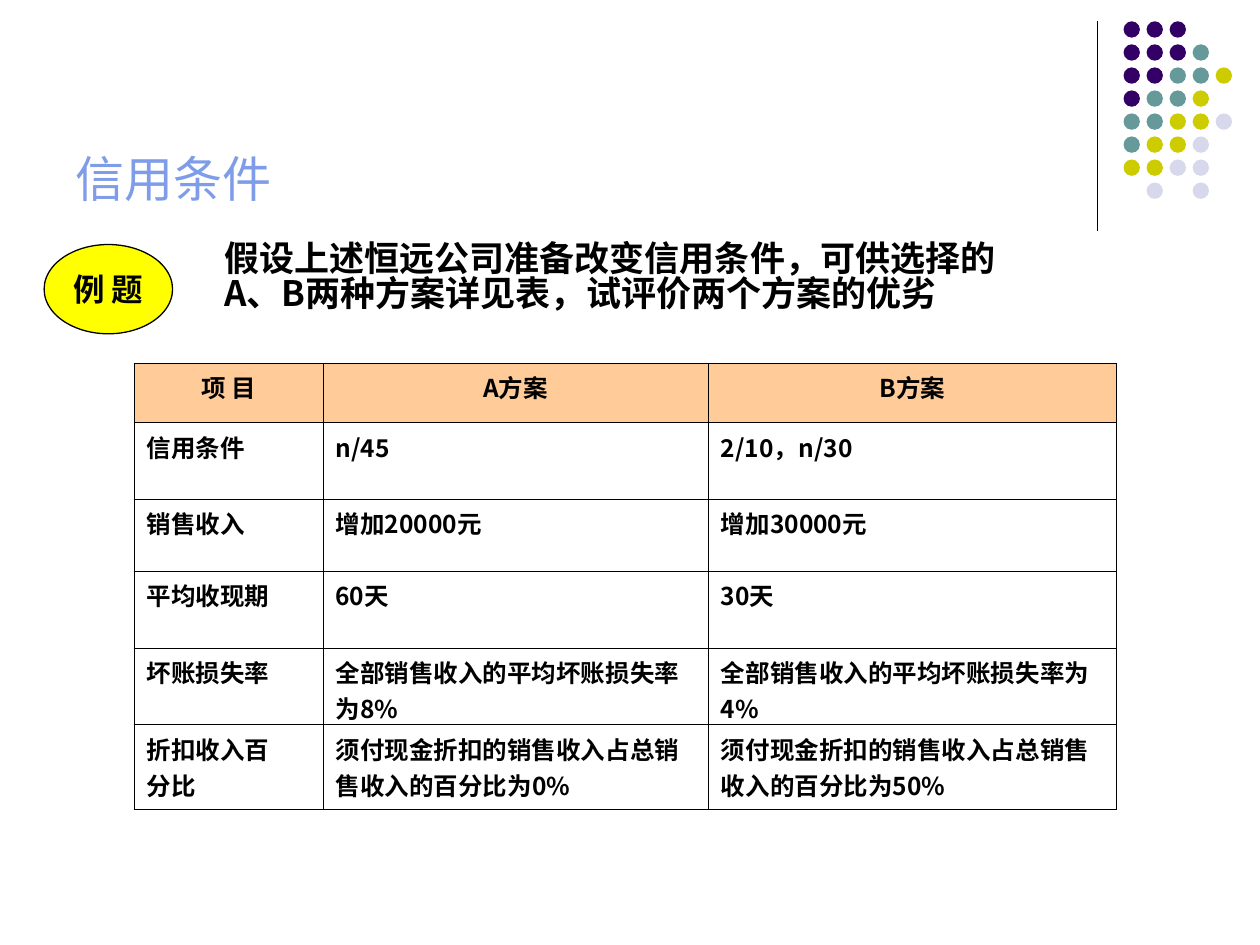
import dataclasses

import lxml.etree
import pptx
import pptx.dml.color
import pptx.enum.shapes
import pptx.enum.text
import pptx.oxml.ns
import pptx.util

Cm = pptx.util.Cm
Pt = pptx.util.Pt
Align = pptx.enum.text.PP_ALIGN
Anchor = pptx.enum.text.MSO_ANCHOR
qn = pptx.oxml.ns.qn


@dataclasses.dataclass(frozen=True)
class Theme:
    sans: str = "Arial"
    wide: str = "Noto Sans CJK SC"
    ink: str = "000000"
    title: str = "7E9CE8"
    badge: str = "FFFF00"
    head: str = "FFCC99"
    dots: tuple = ("330066", "669999", "CCCC00", "D8D8EC")
    big: int = 28
    body: int = 20
    mark: int = 18
    cell: int = 14
    thin: float = 0.75
    rule: float = 0.45


THEME = Theme()

DOTS = ("000", "0001", "00112", "0112", "11223", "1223", "2233", " 3 3")

ROWS = (
    ("项 目", "A方案", "B方案"),
    ("信用条件", "n/45", "2/10，n/30"),
    ("销售收入", "增加20000元", "增加30000元"),
    ("平均收现期", "60天", "30天"),
    ("坏账损失率", "全部销售收入的平均坏账损失率为8%",
     "全部销售收入的平均坏账损失率为4%"),
    ("折扣收入百\n分比", "须付现金折扣的销售收入占总销售收入的百分比为0%",
     "须付现金折扣的销售收入占总销售收入的百分比为50%"),
)
WIDTHS = (3.81, 7.77, 8.23)
HEIGHTS = (1.19, 1.55, 1.45, 1.55, 1.55, 1.7)


def color(code):
    return pptx.dml.color.RGBColor.from_string(code)


def write(frame, text, size=THEME.cell, ink=THEME.ink, font=THEME.wide,
          bold=True, align=Align.LEFT, space=None, indent=0):
    frame.text = text
    for para in frame.paragraphs:
        para.alignment = align
        para.line_spacing = space
        if indent:
            para._p.get_or_add_pPr().set("marL", str(Cm(indent)))
        for run in para.runs:
            run.font.name = font
            run.font.size = Pt(size)
            run.font.bold = bold
            run.font.color.rgb = color(ink)
            face = lxml.etree.SubElement(run._r.get_or_add_rPr(), qn("a:ea"))
            face.set("typeface", THEME.wide)


def add_text(slide, box, text, anchor=Anchor.TOP, **form):
    frame = slide.shapes.add_textbox(*map(Cm, box)).text_frame
    frame.word_wrap = True
    frame.vertical_anchor = anchor
    write(frame, text, **form)


def add_oval(slide, box, fill, line=None):
    kind = pptx.enum.shapes.MSO_SHAPE.OVAL
    oval = slide.shapes.add_shape(kind, *map(Cm, box))
    oval.shadow.inherit = False
    oval.fill.solid()
    oval.fill.fore_color.rgb = color(fill)
    if line:
        oval.line.color.rgb = color(line)
        oval.line.width = Pt(THEME.thin)
    else:
        oval.line.fill.background()
    return oval


def add_line(slide, *ends):
    kind = pptx.enum.shapes.MSO_CONNECTOR.STRAIGHT
    line = slide.shapes.add_connector(kind, *map(Cm, ends))
    line.line.color.rgb = color(THEME.ink)
    line.line.width = Pt(THEME.thin)
    lxml.etree.SubElement(line._element.spPr, qn("a:effectLst"))


def add_dots(slide, left, top, step, size):
    for row, marks in enumerate(DOTS):
        for col, mark in enumerate(marks):
            if mark != " ":
                box = (left + col * step, top + row * step, size, size)
                add_oval(slide, box, THEME.dots[int(mark)])


def add_badge(slide, box, text):
    oval = add_oval(slide, box, THEME.badge, THEME.ink)
    frame = oval.text_frame
    frame.word_wrap = False
    frame.vertical_anchor = Anchor.MIDDLE
    write(frame, text, size=THEME.mark, align=Align.CENTER)


def frame_cell(cell):
    props = cell._tc.get_or_add_tcPr()
    for spot, side in enumerate(("lnL", "lnR", "lnT", "lnB")):
        edge = lxml.etree.Element(qn("a:" + side), w=str(Pt(THEME.rule)))
        fill = lxml.etree.SubElement(edge, qn("a:solidFill"))
        lxml.etree.SubElement(fill, qn("a:srgbClr"), val=THEME.ink)
        props.insert(spot, edge)


def add_grid(slide, left, top):
    box = (left, top, sum(WIDTHS), sum(HEIGHTS))
    grid = slide.shapes.add_table(len(ROWS), len(WIDTHS), *map(Cm, box)).table
    grid.first_row = grid.horz_banding = False
    for col, width in zip(grid.columns, WIDTHS):
        col.width = Cm(width)
    for row, height in zip(grid.rows, HEIGHTS):
        row.height = Cm(height)
    for r, texts in enumerate(ROWS):
        for c, text in enumerate(texts):
            cell = grid.cell(r, c)
            if r == 0:
                cell.fill.solid()
                cell.fill.fore_color.rgb = color(THEME.head)
            else:
                cell.fill.background()
            frame_cell(cell)
            write(cell.text_frame, text,
                  align=Align.LEFT if r else Align.CENTER)


def main():
    deck = pptx.Presentation()
    deck.slide_width, deck.slide_height = Cm(25.4), Cm(19.05)
    slide = deck.slides.add_slide(deck.slide_layouts[6])
    add_line(slide, 22.12, 0.43, 22.12, 4.65)
    add_dots(slide, left=22.65, top=0.43, step=3.25 / 7, size=0.33)
    add_text(slide, (1.27, 0.91, 20.96, 3.4), "信用条件", Anchor.BOTTOM,
             size=THEME.big, ink=THEME.title, font=THEME.sans, bold=False)
    add_text(slide, (3.3, 4.78, 18.01, 2.41),
             "假设上述恒远公司准备改变信用条件，可供选择的"
             "A、B两种方案详见表，试评价两个方案的优劣",
             size=THEME.body, space=0.83, indent=0.97)
    add_badge(slide, (0.89, 4.93, 2.59, 1.8), "例 题")
    add_grid(slide, 2.7, 7.32)
    deck.save("out.pptx")


if __name__ == "__main__":
    main()
